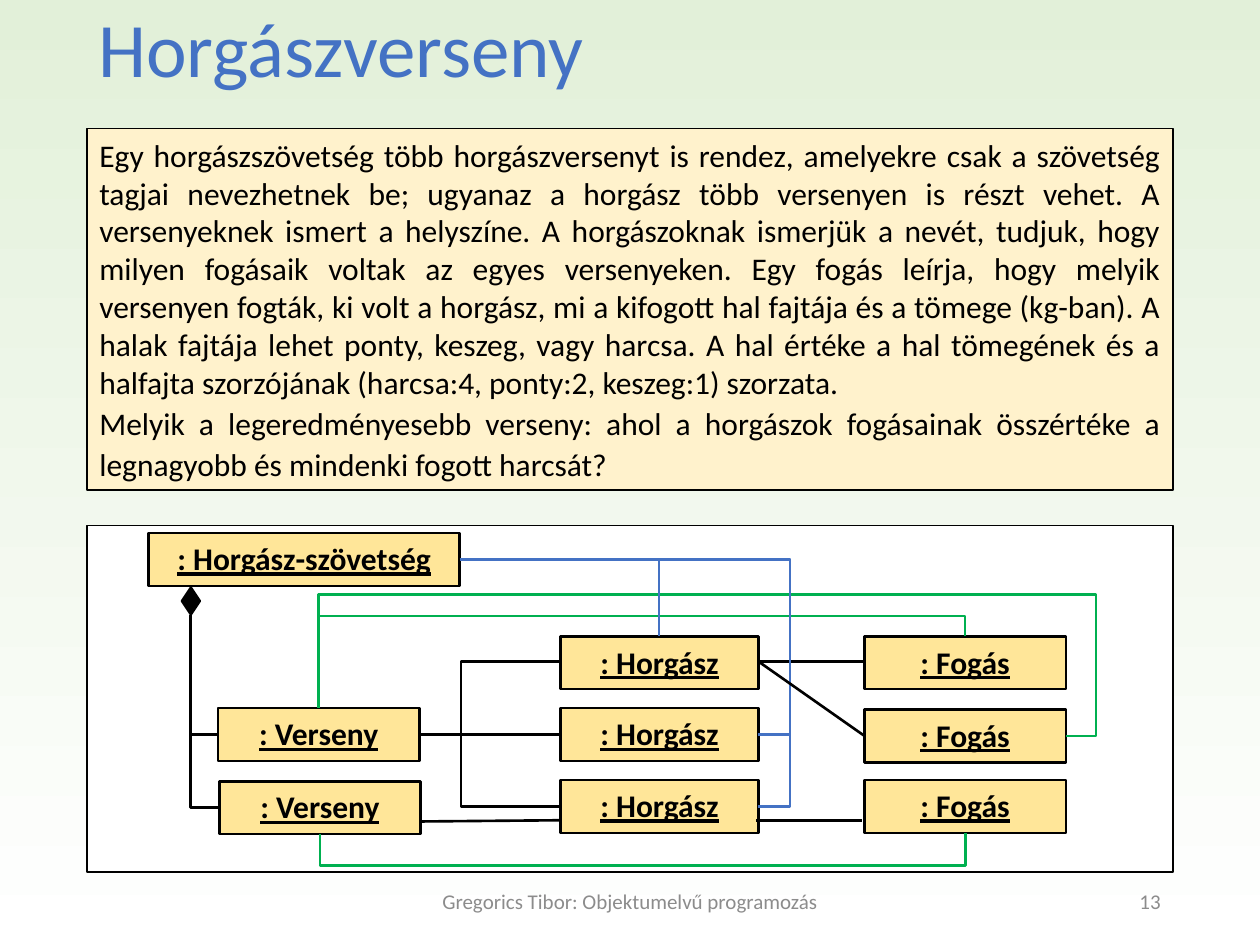
"""Build the slide on the fishing contest task and its object diagram."""
from dataclasses import dataclass

from pptx import Presentation
from pptx import util as u
from pptx.dml.color import RGBColor
from pptx.enum import shapes, text

PX = 9144
BLACK = RGBColor(0x00, 0x00, 0x00)
WHITE = RGBColor(0xFF, 0xFF, 0xFF)
MINT = RGBColor(0xE2, 0xF0, 0xD9)
CREAM = RGBColor(0xFF, 0xF2, 0xCC)
GOLD = RGBColor(0xFF, 0xE6, 0x99)
BLUE = RGBColor(0x44, 0x72, 0xC4)
GREEN = RGBColor(0x00, 0xB0, 0x50)
GRAY = RGBColor(0x8C, 0x8C, 0x8C)

TASK = (
    "Egy horgászszövetség több horgászversenyt is rendez, amelyekre csak a szövetség "
    "tagjai nevezhetnek be; ugyanaz a horgász több versenyen is részt vehet. A "
    "versenyeknek ismert a helyszíne. A horgászoknak ismerjük a nevét, tudjuk, hogy "
    "milyen fogásaik voltak az egyes versenyeken. Egy fogás leírja, hogy melyik "
    "versenyen fogták, ki volt a horgász, mi a kifogott hal fajtája és a tömege (kg-ban). A "
    "halak fajtája lehet ponty, keszeg, vagy harcsa. A hal értéke a hal tömegének és a "
    "halfajta szorzójának (harcsa:4, ponty:2, keszeg:1) szorzata."
)
QUESTION = (
    "Melyik a legeredményesebb verseny: ahol a horgászok fogásainak összértéke a "
    "legnagyobb és mindenki fogott harcsát?"
)


@dataclass(frozen=True)
class Box:
    left: int
    top: int
    width: int
    height: int

    def emu(self) -> tuple[int, ...]:
        return tuple(v * PX for v in (self.left, self.top, self.width, self.height))


@dataclass(frozen=True)
class Instance:
    label: str
    box: Box


@dataclass(frozen=True)
class Link:
    points: tuple[tuple[int, int], ...]
    color: RGBColor = BLACK


PANEL = Box(69, 417, 862, 275)
TASK_BOX = Box(69, 102, 862, 287)
DIAMOND = Box(141, 470, 21, 14)

INSTANCES = [
    Instance(": Horgász-szövetség", Box(118, 423, 247, 42)),
    Instance(": Verseny", Box(173, 562, 160, 42)),
    Instance(": Verseny", Box(174, 620, 160, 42)),
    *(Instance(": Horgász", Box(445, top, 157, 42)) for top in (505, 562, 619)),
    *(Instance(": Fogás", Box(686, top, 160, 42)) for top in (505, 563, 619)),
]

LINKS = [
    Link(((333, 583), (445, 583))),
    Link(((333, 652), (445, 651))),
    Link(((174, 641), (151, 641), (151, 488))),
    Link(((173, 583), (151, 583), (151, 488))),
    Link(((445, 525), (366, 525), (366, 583), (333, 583))),
    Link(((445, 640), (366, 640), (366, 583), (333, 583))),
    Link(((602, 525), (686, 525))),
    Link(((600, 651), (684, 651))),
    Link(((766, 661), (766, 687), (254, 687), (254, 662)), GREEN),
    Link(((846, 584), (870, 584), (870, 472), (253, 472), (253, 562)), GREEN),
    Link(((766, 505), (766, 489), (253, 489), (253, 562)), GREEN),
    Link(((365, 444), (523, 444), (523, 505)), BLUE),
    Link(((365, 444), (627, 444), (627, 583), (602, 583)), BLUE),
    Link(((365, 444), (627, 444), (627, 640), (602, 640)), BLUE),
    Link(((602, 525), (686, 584))),
]


def write(paragraph, words: str, size: int, color: RGBColor, align, strong: bool = False) -> None:
    paragraph.alignment = align
    run = paragraph.add_run()
    run.text = words
    run.font.name = "Calibri"
    run.font.size = u.Pt(size)
    run.font.color.rgb = color
    if strong:
        run.font.bold = run.font.underline = True


def add_block(slide, kind, box: Box, fill: RGBColor, weight: float):
    block = slide.shapes.add_shape(kind, *box.emu())
    block.shadow.inherit = False
    block.fill.solid()
    block.fill.fore_color.rgb = fill
    block.line.color.rgb = BLACK
    block.line.width = u.Pt(weight)
    return block


def add_label(slide, box: Box, words: str, size: int, color: RGBColor, align, anchor):
    frame = slide.shapes.add_textbox(*box.emu()).text_frame
    frame.word_wrap = True
    frame.vertical_anchor = anchor
    write(frame.paragraphs[0], words, size, color, align)
    return frame


def add_instance(slide, instance: Instance) -> None:
    block = add_block(slide, shapes.MSO_SHAPE.RECTANGLE, instance.box, GOLD, 1.5)
    frame = block.text_frame
    frame.vertical_anchor = text.MSO_ANCHOR.TOP
    write(frame.paragraphs[0], instance.label, 18, BLACK, text.PP_ALIGN.CENTER, True)


def add_link(slide, link: Link) -> None:
    start, *rest = link.points
    if len(rest) == 1:
        ends = (v * PX for point in link.points for v in point)
        line = slide.shapes.add_connector(shapes.MSO_CONNECTOR.STRAIGHT, *ends)
        line._element.spPr.get_or_change_to_noFill()
        line._element.spPr._add_effectLst()
    else:
        builder = slide.shapes.build_freeform(*start, scale=PX)
        builder.add_line_segments(rest, close=False)
        line = builder.convert_to_shape()
        line.shadow.inherit = False
        line.fill.background()
    line.line.color.rgb = link.color
    line.line.width = u.Pt(1.5)


def add_task(slide) -> None:
    frame = add_block(slide, shapes.MSO_SHAPE.RECTANGLE, TASK_BOX, CREAM, 1).text_frame
    frame.word_wrap = True
    frame.vertical_anchor = text.MSO_ANCHOR.MIDDLE
    story, question = frame.paragraphs[0], frame.add_paragraph()
    write(story, TASK, 18, BLACK, text.PP_ALIGN.JUSTIFY)
    story.space_before = story.space_after = u.Pt(0.8)
    write(question, QUESTION, 18, BLACK, text.PP_ALIGN.JUSTIFY)
    question.line_spacing = 1.07


def paint_background(slide) -> None:
    fill = slide.background.fill
    fill.gradient()
    fill.gradient_angle = 90
    for stop, color, position in zip(fill.gradient_stops, (WHITE, MINT), (0, 1)):
        stop.color.rgb = color
        stop.position = position


def main() -> None:
    deck = Presentation()
    deck.slide_width, deck.slide_height = 1000 * PX, 750 * PX
    slide = deck.slides.add_slide(deck.slide_layouts[6])
    paint_background(slide)
    title = add_label(slide, Box(68, 4, 862, 145), "Horgászverseny", 44, BLUE,
                      text.PP_ALIGN.LEFT, text.MSO_ANCHOR.TOP)
    title.paragraphs[0].line_spacing = 0.9
    add_task(slide)
    add_block(slide, shapes.MSO_SHAPE.RECTANGLE, PANEL, WHITE, 1)
    for instance in INSTANCES:
        add_instance(slide, instance)
    add_block(slide, shapes.MSO_SHAPE.DIAMOND, DIAMOND, BLACK, 1.5).rotation = 90
    for link in LINKS:
        add_link(slide, link)
    add_label(slide, Box(331, 695, 338, 40), "Gregorics Tibor: Objektumelvű programozás", 12,
              GRAY, text.PP_ALIGN.CENTER, text.MSO_ANCHOR.MIDDLE)
    add_label(slide, Box(706, 695, 225, 40), "13", 12, GRAY,
              text.PP_ALIGN.RIGHT, text.MSO_ANCHOR.MIDDLE)
    deck.save("out.pptx")


if __name__ == "__main__":
    main()
